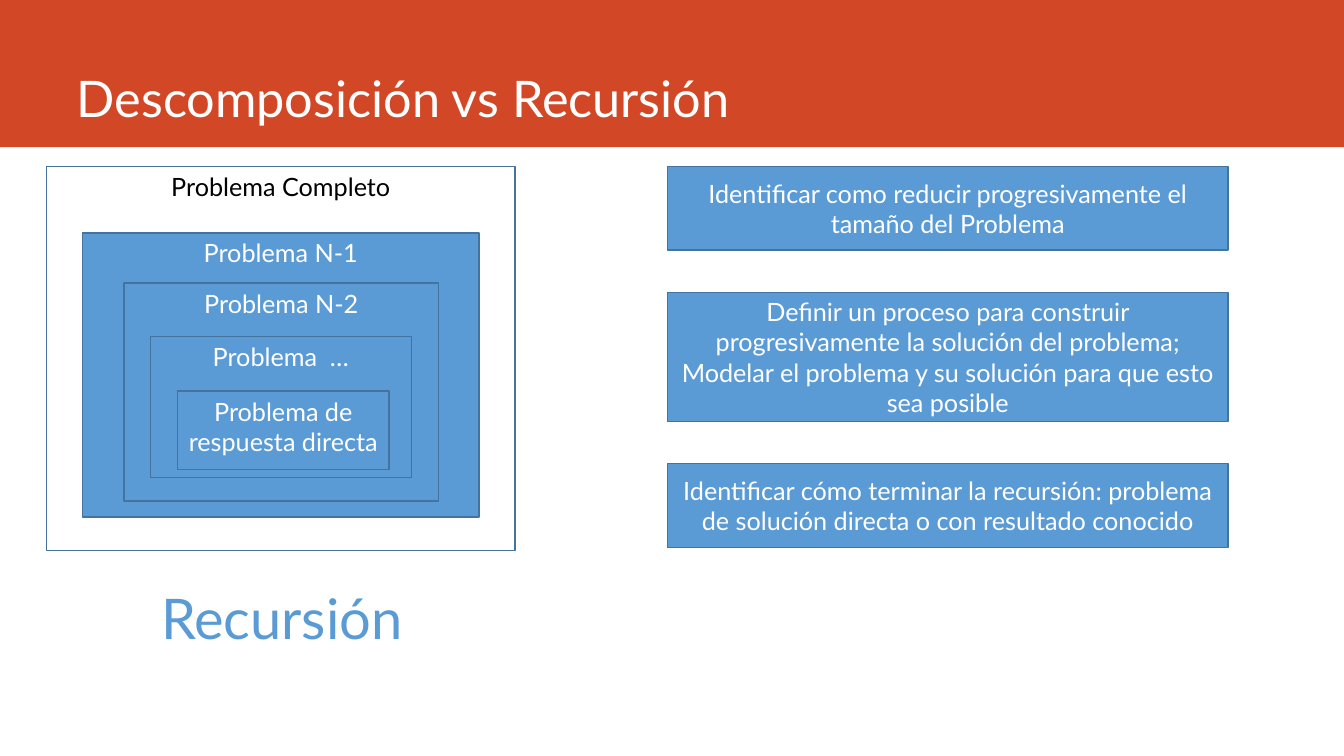
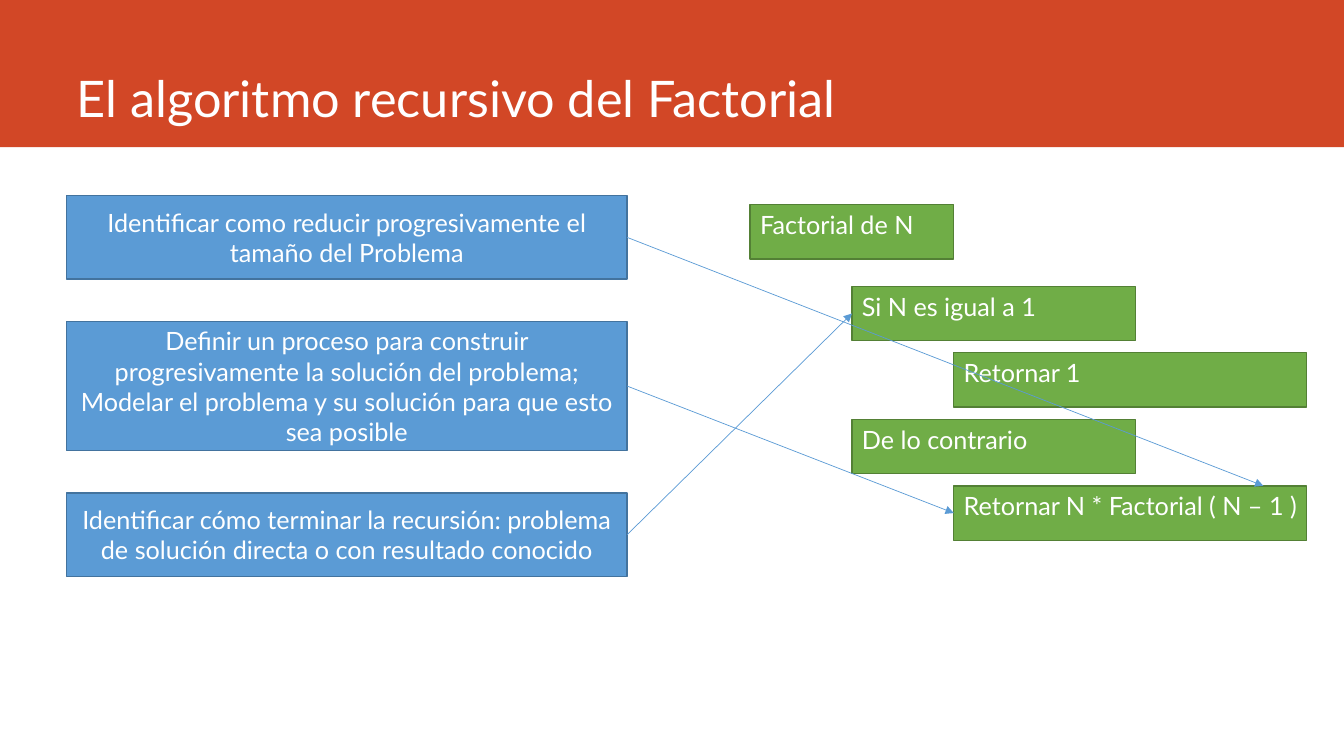
from dataclasses import dataclass

from lxml import etree
from pptx import Presentation
from pptx.dml.color import RGBColor
from pptx.enum.shapes import MSO_CONNECTOR, MSO_SHAPE
from pptx.enum.text import MSO_ANCHOR, MSO_AUTO_SIZE, PP_ALIGN
from pptx.oxml.ns import qn
from pptx.shapes.autoshape import Shape
from pptx.slide import Slide
from pptx.text.text import TextFrame
from pptx.util import Inches, Pt

RECT = MSO_SHAPE.RECTANGLE
STRAIGHT = MSO_CONNECTOR.STRAIGHT
LEFT, CENTER = PP_ALIGN.LEFT, PP_ALIGN.CENTER
TOP, MIDDLE, BOTTOM = MSO_ANCHOR.TOP, MSO_ANCHOR.MIDDLE, MSO_ANCHOR.BOTTOM
NO_AUTOFIT = MSO_AUTO_SIZE.NONE
TITLE_ONLY = 5
LEFT_SITE, RIGHT_SITE = 1, 3

FONT = "Lato"
COLORS = {
    "band": "D24726",
    "white": "FFFFFF",
    "black": "000000",
    "blue": "5B9BD5",
    "blue_line": "43739E",
    "green": "70AD47",
    "green_line": "538035",
}
SLIDE_W, SLIDE_H = 13.33, 7.5
STEP_W, STEP_GAP = 5.56, 0.42
CODE_LEFT, CODE_INDENT = 7.44, 1.01
CODE_TOP, CODE_PITCH, CODE_H = 2.84, 0.66, 0.54


@dataclass
class Box:
    text: str
    left: float
    top: float
    width: float
    height: float
    fill: str | None = "blue"
    line: str = "blue_line"
    color: str = "white"
    align: PP_ALIGN = CENTER
    anchor: MSO_ANCHOR = TOP
    margin_right: float = 0.1


@dataclass
class Step:
    text: str
    height: float


@dataclass
class CodeLine:
    text: str
    indent: int
    top: float
    width: float


STEPS = [
    Step("Identificar como reducir progresivamente el tamaño del Problema", 0.83),
    Step("Definir un proceso para construir progresivamente la solución del problema; "
         "Modelar el problema y su solución para que esto sea posible", 1.28),
    Step("Identificar cómo terminar la recursión: problema de solución directa "
         "o con resultado conocido", 0.83),
]
NESTED_PROBLEMS = [
    Box("Problema Completo", 0.46, 1.65, 4.65, 3.81, fill=None, color="black"),
    Box("Problema N-1", 0.82, 2.31, 3.93, 2.82),
    Box("Problema N-2", 1.23, 2.81, 3.12, 2.16),
    Box("Problema  …", 1.49, 3.34, 2.59, 1.4),
    Box("Problema de respuesta directa", 1.76, 3.88, 2.1, 0.78),
]
CODE_LINES = [
    CodeLine("Factorial de N", 0, 2.03, 2.02),
    CodeLine("Si N es igual a 1", 1, CODE_TOP, 2.81),
    CodeLine("Retornar 1", 2, CODE_TOP + CODE_PITCH, 3.5),
    CodeLine("De lo contrario", 1, CODE_TOP + 2 * CODE_PITCH, 2.81),
    CodeLine("Retornar N * Factorial ( N – 1 )", 2, CODE_TOP + 3 * CODE_PITCH, 3.5),
]


def rgb(name: str) -> RGBColor:
    return RGBColor.from_string(COLORS[name])


def write(tf: TextFrame, text: str, size: float, color: str,
          align: PP_ALIGN, anchor: MSO_ANCHOR) -> None:
    tf.text = text
    tf.vertical_anchor = anchor
    p = tf.paragraphs[0]
    p.alignment = align
    font = p.runs[0].font
    font.name, font.size = FONT, Pt(size)
    font.color.rgb = rgb(color)


def add_rect(s: Slide, left: float, top: float, width: float, height: float,
             fill: str | None, line: str | None) -> Shape:
    sp = s.shapes.add_shape(RECT, Inches(left), Inches(top), Inches(width), Inches(height))
    sp.shadow.inherit = False
    if fill:
        sp.fill.solid()
        sp.fill.fore_color.rgb = rgb(fill)
    else:
        sp.fill.background()
    if line:
        sp.line.color.rgb = rgb(line)
        sp.line.width = Pt(1)
    else:
        sp.line.fill.background()
    return sp


def add_box(s: Slide, box: Box) -> Shape:
    sp = add_rect(s, box.left, box.top, box.width, box.height, box.fill, box.line)
    tf = sp.text_frame
    tf.word_wrap = True
    tf.margin_right = Inches(box.margin_right)
    write(tf, box.text, 18, box.color, box.align, box.anchor)
    return sp


def add_titled_slide(prs: Presentation, text: str) -> Slide:
    s = prs.slides.add_slide(prs.slide_layouts[TITLE_ONLY])
    title = s.shapes.title
    band = add_rect(s, 0, 0, SLIDE_W, 1.46, "band", None)
    title.element.addprevious(band.element)  # keeps the band behind the title
    title.left, title.top = Inches(0.66), Inches(0)
    title.width, title.height = Inches(11.76), Inches(1.32)
    write(title.text_frame, text, 36, "white", LEFT, BOTTOM)
    title.text_frame.auto_size = NO_AUTOFIT
    return s


def add_steps(s: Slide, left: float, top: float) -> list[Shape]:
    shapes = []
    for step in STEPS:
        shapes.append(add_box(s, Box(step.text, left, top, STEP_W, step.height, anchor=MIDDLE)))
        top += step.height + STEP_GAP
    return shapes


def add_code(s: Slide) -> list[Shape]:
    return [
        add_box(s, Box(line.text, CODE_LEFT + line.indent * CODE_INDENT, line.top,
                       line.width, CODE_H, "green", "green_line",
                       align=LEFT, margin_right=0))
        for line in CODE_LINES
    ]


def add_arrow(s: Slide, source: Shape, target: Shape, end_x: float | None = None) -> None:
    """Point at the target's left side, or at its top edge when end_x is given."""
    x = target.left if end_x is None else Inches(end_x)
    line = s.shapes.add_connector(STRAIGHT, source.left, source.top, x, target.top)
    line.begin_connect(source, RIGHT_SITE)
    if end_x is None:
        line.end_connect(target, LEFT_SITE)
    line.line.color.rgb = rgb("blue")
    line.line.width = Pt(0.5)
    sp_pr = line.element.spPr
    etree.SubElement(sp_pr.find(qn("a:ln")), qn("a:tailEnd"), type="triangle")
    etree.SubElement(sp_pr, qn("a:effectLst"))


def build_recursion(prs: Presentation) -> None:
    s = add_titled_slide(prs, "Descomposición vs Recursión")
    for problem in NESTED_PROBLEMS:
        add_box(s, problem)
    caption = s.shapes.add_textbox(Inches(1.49), Inches(5.74), Inches(2.61), Inches(1.45))
    caption.text_frame.word_wrap = False
    write(caption.text_frame, "Recursión", 40, "blue", CENTER, TOP)
    add_steps(s, 6.62, 1.65)


def build_factorial(prs: Presentation) -> None:
    s = add_titled_slide(prs, "El algoritmo recursivo del Factorial")
    reduce_step, build_step, stop_step = add_steps(s, 0.66, 1.94)
    code = add_code(s)
    base_case, recursive_call = code[1], code[-1]
    add_arrow(s, reduce_step, recursive_call, end_x=12.53)
    add_arrow(s, build_step, recursive_call)
    add_arrow(s, stop_step, base_case)


def main() -> None:
    prs = Presentation()
    prs.slide_width, prs.slide_height = Inches(SLIDE_W), Inches(SLIDE_H)
    build_recursion(prs)
    build_factorial(prs)
    prs.save("out.pptx")


if __name__ == "__main__":
    main()
